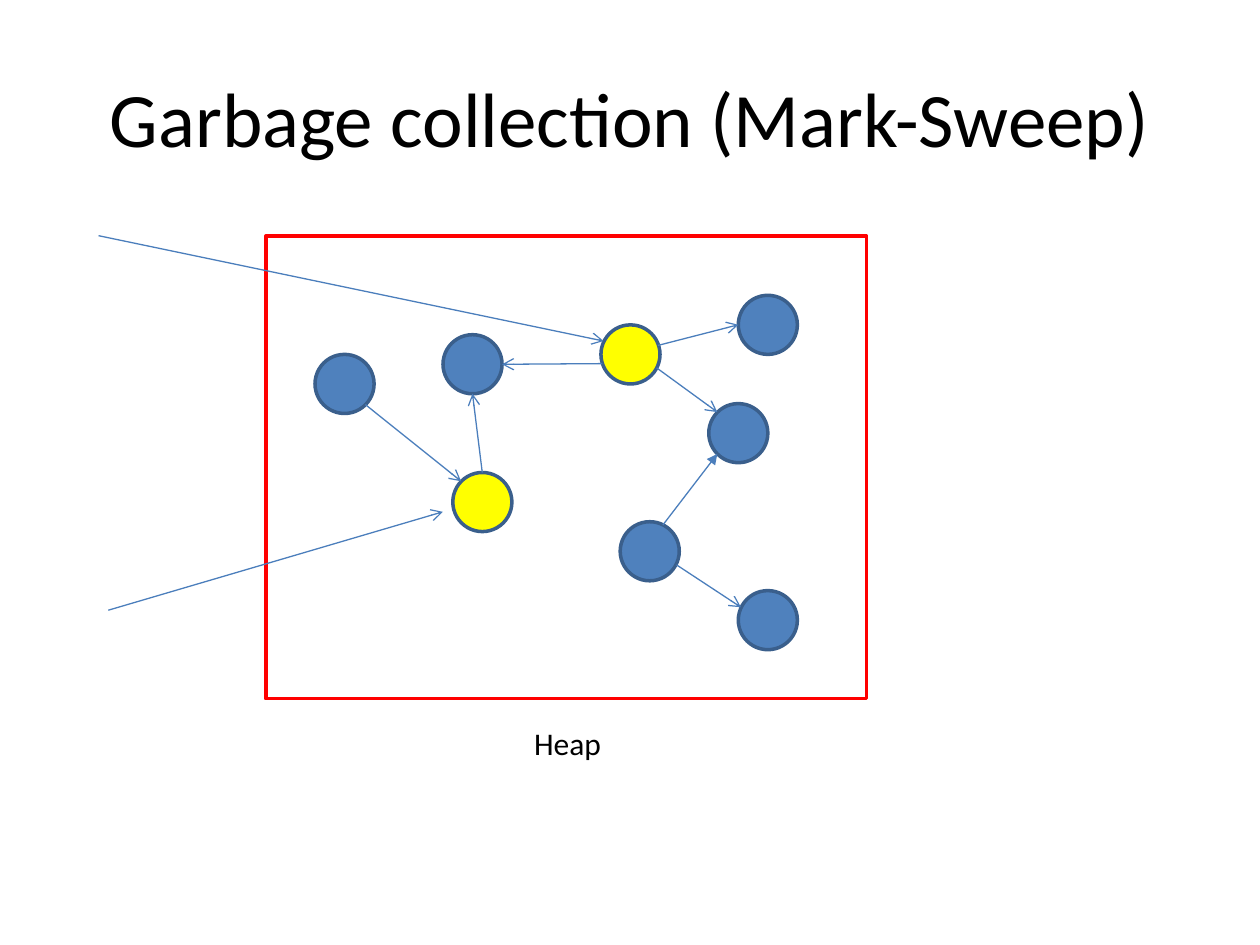
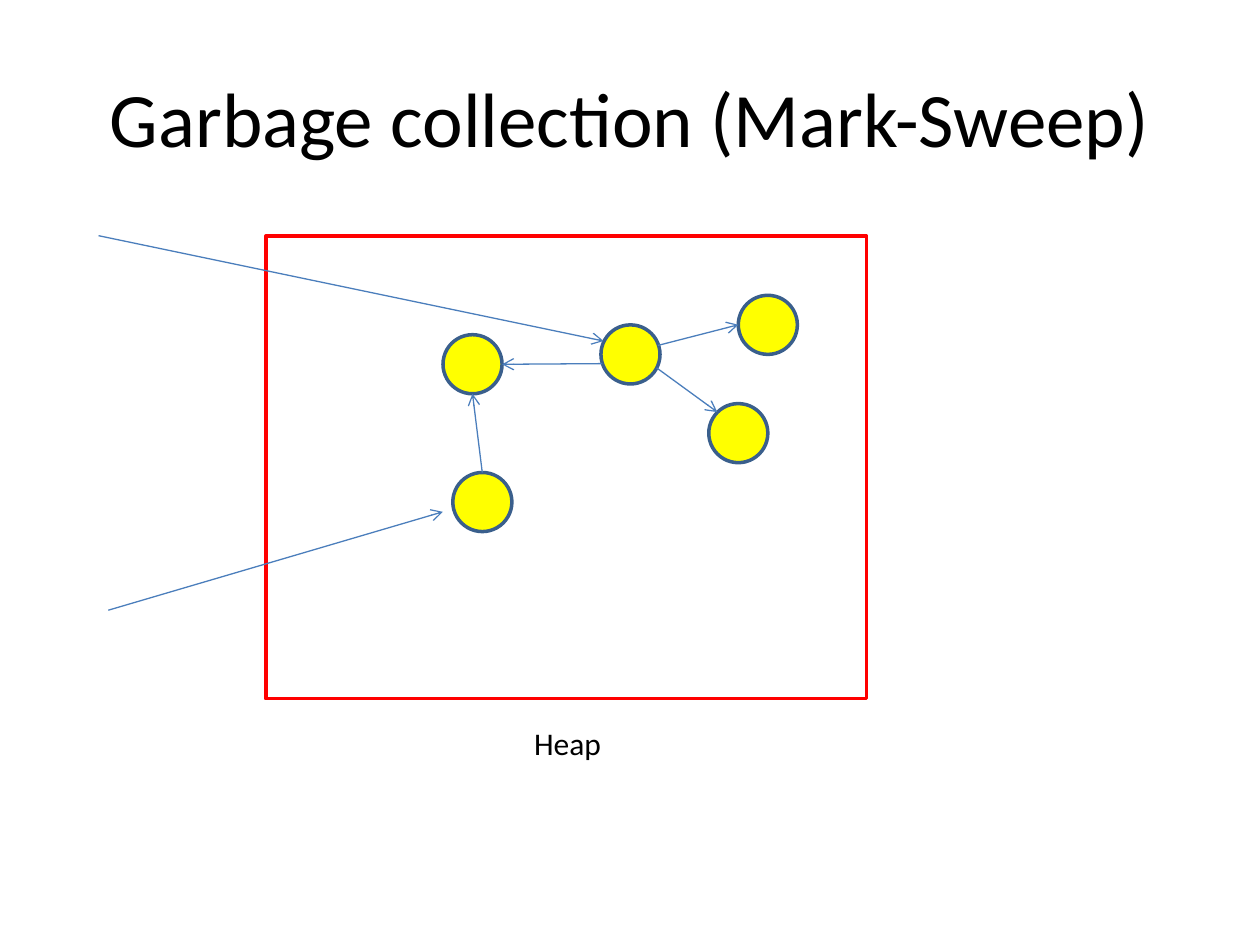
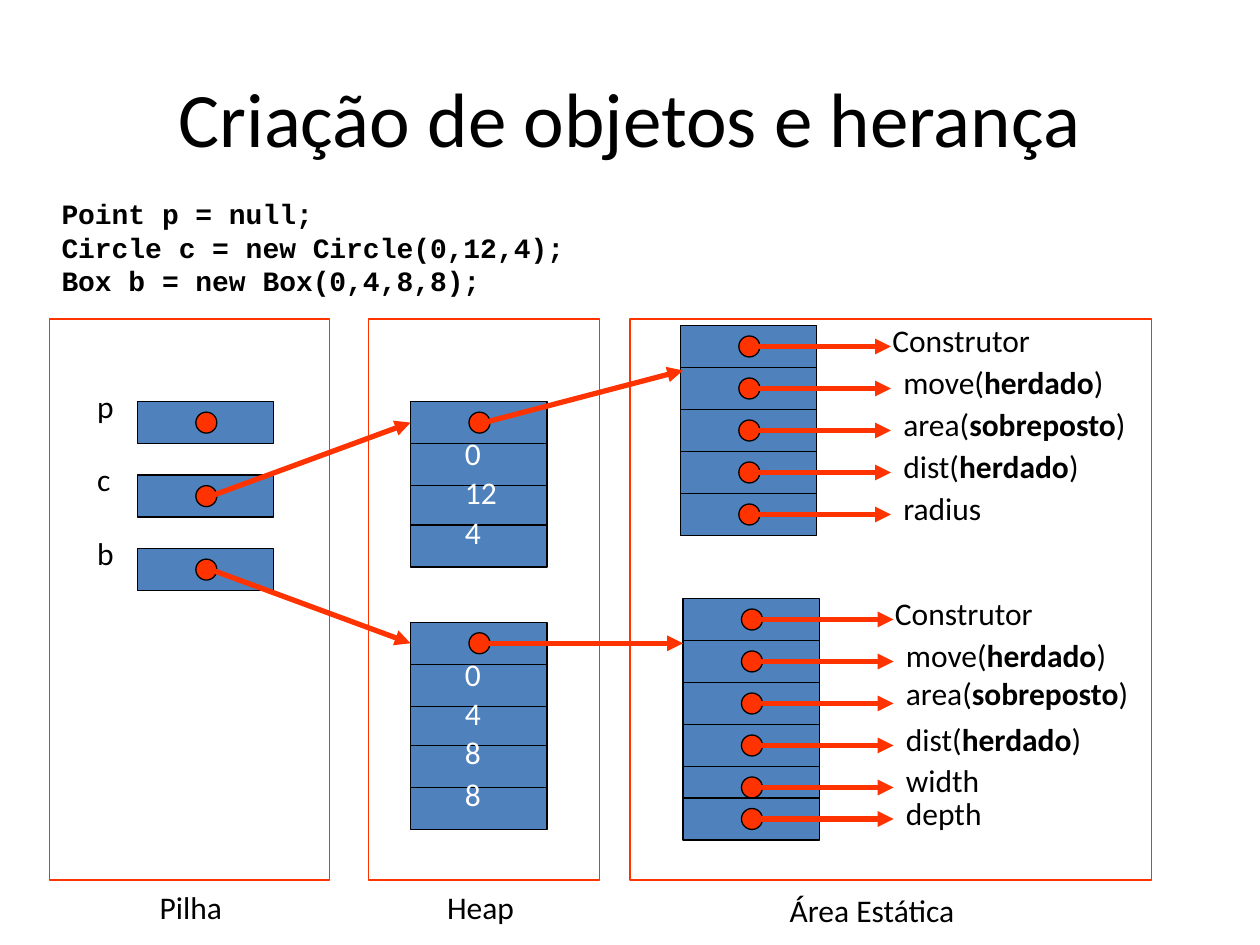
from lxml.etree import SubElement
from pptx import Presentation
from pptx.dml.color import RGBColor
from pptx.enum.shapes import MSO_CONNECTOR, MSO_SHAPE
from pptx.enum.text import MSO_ANCHOR, MSO_AUTO_SIZE, PP_ALIGN
from pptx.oxml.ns import qn
from pptx.util import Pt

COLORS = {
    "text": "000000",
    "value": "FFFFFF",
    "blue": "4F81BD",
    "node_edge": "3A5F8C",
    "edge": "4B7EBC",
    "marked": "FFFF00",
    "heap": "FF0000",
    "pointer": "FF3300",
}

# Heap graph: name -> left, top
NODE_SIZE = 33.75
NODES = {
    "orphan": (180, 202.5),
    "shared": (253.13, 191.25),
    "lower root": (258.75, 270),
    "upper leaf": (421.88, 168.75),
    "right leaf": (405, 230.63),
    "garbage leaf": (421.88, 337.5),
    "garbage": (354.38, 298.13),
    "upper root": (343.4, 185.63),
}
ROOTS = {"lower root", "upper root"}
GARBAGE = {"orphan", "garbage", "garbage leaf"}
# Source node, start, end, arrowhead
REFERENCES = [
    ("orphan", (208.8, 231.2), (263.5, 275), "arrow"),
    ("lower root", (275.6, 270), (270, 225), "arrow"),
    ("upper root", (344.2, 207.8), (286.9, 208.2), "arrow"),
    ("upper root", (376, 197.4), (421.9, 185.6), "arrow"),
    ("upper root", (375.2, 210.2), (409.9, 235.5), "arrow"),
    ("garbage", (378.8, 300), (409.9, 259.4), "triangle"),
    ("garbage", (386.6, 322.8), (423.4, 347), "arrow"),
]
ROOT_REFERENCES = [
    ((61.9, 348.7), (253.1, 292.5)),
    ((56.3, 134.7), (344.9, 194.9)),
]

# Memory cells
CELL_WIDTH, CELL_HEIGHT, DOT_SIZE = 78, 24, 12
POINTER_X, POINTER_END = 42, 120.3
STACK_X, STACK_TOP, STACK_STEP = 78.5, 229.5, 42
OBJECT_X = 234.6
FIELD_OFFSETS = [(24, 15), (48, 37.5), (70.5, 60), (94.5, 84)]  # cell, value
REGION_TOP, REGION_HEIGHT = 182.3, 320.5

# Member, note, cell offset, rise of the label above its cell
CIRCLE_MEMBERS = [
    ("Construtor", "", 0, 6),
    ("move", "herdado", 24, 6),
    ("area", "sobreposto", 48, 6),
    ("dist", "herdado", 72, 6),
    ("radius", "", 96, 6),
]
BOX_MEMBERS = [
    ("Construtor", "", 0, 6),
    ("move", "herdado", 24, 6),
    ("area", "sobreposto", 48, 8.4),
    ("dist", "herdado", 72, 6),
    ("width", "", 96, 6.6),
    ("depth", "", 114, 6),
]


class Deck:
    def __init__(self):
        self.presentation = Presentation()
        self.presentation.slide_width = Pt(720)
        self.presentation.slide_height = Pt(540)
        self.slide = None

    def new_slide(self, title):
        blank = self.presentation.slide_layouts[6]
        self.slide = self.presentation.slides.add_slide(blank)
        self.text(36, 21.6, 648, 90, [[(title, False)]], size=44,
                  align=PP_ALIGN.CENTER, anchor=MSO_ANCHOR.MIDDLE, grow=False)

    def text(self, x, y, width, height, lines, size=18, font="Calibri",
             color="text", align=PP_ALIGN.LEFT, anchor=MSO_ANCHOR.TOP,
             wrap=True, grow=True):
        """Each line is a list of (words, bold) runs."""
        box = self.slide.shapes.add_textbox(Pt(x), Pt(y), Pt(width), Pt(height))
        frame = box.text_frame
        frame.word_wrap = wrap
        frame.vertical_anchor = anchor
        if grow:
            frame.auto_size = MSO_AUTO_SIZE.SHAPE_TO_FIT_TEXT
        for index, line in enumerate(lines):
            paragraph = frame.add_paragraph() if index else frame.paragraphs[0]
            paragraph.alignment = align
            for words, bold in line:
                run = paragraph.add_run()
                run.text = words
                run.font.name = font
                run.font.size = Pt(size)
                run.font.bold = bold
                run.font.color.rgb = RGBColor.from_string(COLORS[color])

    def label(self, x, y, width, words, color="text", wrap=True):
        self.text(x, y, width, 28.8, [[(words, False)]], color=color, wrap=wrap)

    def shape(self, kind, x, y, width, height, fill, line, weight):
        shape = self.slide.shapes.add_shape(
            kind, Pt(x), Pt(y), Pt(width), Pt(height))
        shape.shadow.inherit = False
        if fill:
            shape.fill.solid()
            shape.fill.fore_color.rgb = RGBColor.from_string(COLORS[fill])
        else:
            shape.fill.background()
        shape.line.color.rgb = RGBColor.from_string(COLORS[line])
        shape.line.width = Pt(weight)
        return shape

    def frame(self, x, y, width, height, line, weight):
        self.shape(MSO_SHAPE.RECTANGLE, x, y, width, height, None, line, weight)

    def node(self, x, y, fill):
        self.shape(MSO_SHAPE.OVAL, x, y, NODE_SIZE, NODE_SIZE,
                   fill, "node_edge", 2)

    def cell(self, x, y):
        return self.shape(MSO_SHAPE.RECTANGLE, x, y, CELL_WIDTH, CELL_HEIGHT,
                          "blue", "text", 0.75)

    def pointer_cell(self, x, y):
        """Return the cell and the point where its pointer starts."""
        cell = self.cell(x, y)
        self.shape(MSO_SHAPE.OVAL, x + 33.4, y + 6, DOT_SIZE, DOT_SIZE,
                   "pointer", "text", 0.75)
        return cell, (x + POINTER_X, y + CELL_HEIGHT / 2)

    def arrow(self, start, end, color="pointer", weight=3, head="triangle",
              target=None):
        """Draw an arrow, joined to the left side of target if there is one."""
        arrow = self.slide.shapes.add_connector(
            MSO_CONNECTOR.STRAIGHT, *map(Pt, start + end))
        if target is not None:
            arrow.end_connect(target, 1)
        arrow.line.color.rgb = RGBColor.from_string(COLORS[color])
        arrow.line.width = Pt(weight)
        properties = arrow.element.spPr
        SubElement(properties.find(qn("a:ln")), qn("a:tailEnd"), type=head)
        SubElement(properties, qn("a:effectLst"))

    def heap_graph(self, hidden, marked):
        self.new_slide("Garbage collection (Mark-Sweep)")
        for name, (x, y) in NODES.items():
            if name not in hidden:
                self.node(x, y, "marked" if name in marked else "blue")
        for source, start, end, head in REFERENCES:
            if source not in hidden:
                self.arrow(start, end, "edge", 0.75, head)
        self.frame(151.9, 134.9, 343.2, 264.4, "heap", 2)
        self.label(298.1, 410.4, 53.3, "Heap", wrap=False)
        for start, end in ROOT_REFERENCES:
            self.arrow(start, end, "edge", 0.75, "arrow")

    def region(self, x, width, name, name_x, name_y, name_width):
        self.frame(x, REGION_TOP, width, REGION_HEIGHT, "pointer", 0.75)
        self.label(name_x, name_y, name_width, name)

    def class_table(self, x, top, members):
        for member, note, offset, rise in members:
            y = top + offset
            _, start = self.pointer_cell(x, y)
            self.arrow(start, (x + POINTER_END, start[1]))
            runs = [(member, False)]
            if note:
                runs = [(member + "(", False), (note, True), (")", False)]
            indent = 114 if member == "Construtor" else POINTER_END
            self.text(x + indent, y - rise, 185, 36, [runs])

    def heap_object(self, top, values):
        """Return the header cell and the start of its pointer."""
        header, start = self.pointer_cell(OBJECT_X, top)
        for value, (cell_offset, value_offset) in zip(values, FIELD_OFFSETS):
            self.cell(OBJECT_X, top + cell_offset)
            self.label(OBJECT_X + 24, top + value_offset, 48, value, "value")
        return header, start


def object_creation(deck):
    deck.new_slide("Criação de objetos e herança")
    deck.class_table(388.8, 186, CIRCLE_MEMBERS)
    deck.class_table(390.3, 342, BOX_MEMBERS)
    deck.region(210.5, 132, "Heap", 248.4, 504, 78)

    circle, circle_class = deck.heap_object(229.5, ["0", "12", "4"])
    box, box_class = deck.heap_object(355.6, ["0", "4", "8", "8"])
    deck.arrow(circle_class, (390.3, 211.7))
    deck.arrow(box_class, (390.3, box_class[1]))

    variables = [("p", None), ("c", circle), ("b", box)]
    for index, (variable, target) in enumerate(variables):
        y = STACK_TOP + index * STACK_STEP
        _, start = deck.pointer_cell(STACK_X, y)
        deck.label(STACK_X - 30, y - 12, 42, variable)
        if target is not None:
            deck.arrow(start, start, target=target)

    deck.region(360, 298, "Área Estática", 444.2, 505.5, 130)
    deck.region(28.2, 160, "Pilha", 84.2, 504, 56.2)
    code = ["Point p = null;",
            "Circle c = new Circle(0,12,4);",
            "Box b = new Box(0,4,8,8);"]
    deck.text(28.1, 108.7, 360, 65.5, [[(line, True)] for line in code],
              size=16, font="Courier New")


def main():
    deck = Deck()
    deck.heap_graph(hidden=set(), marked=ROOTS)
    deck.heap_graph(hidden=GARBAGE, marked=set(NODES))
    object_creation(deck)
    deck.presentation.save("out.pptx")


if __name__ == "__main__":
    main()
